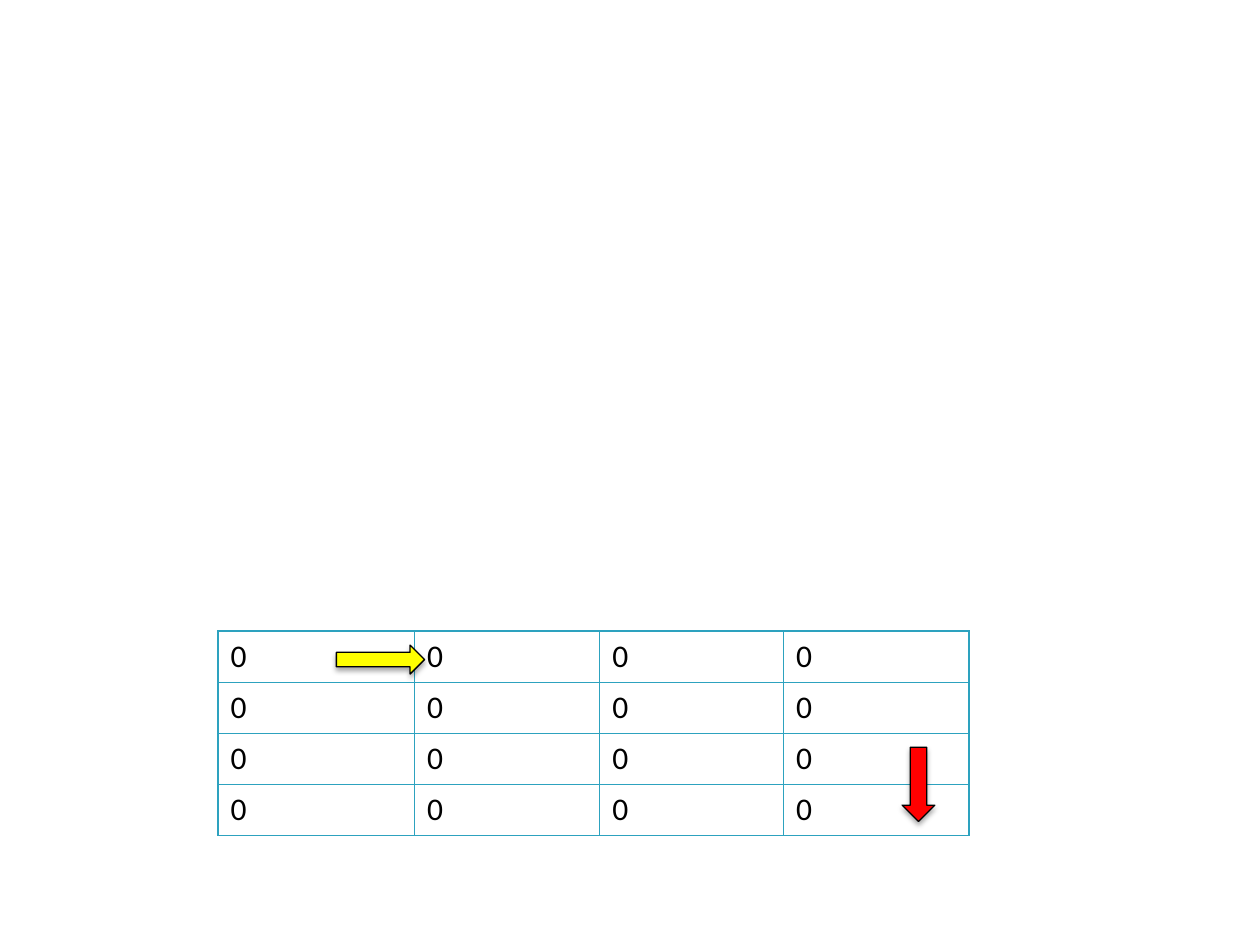
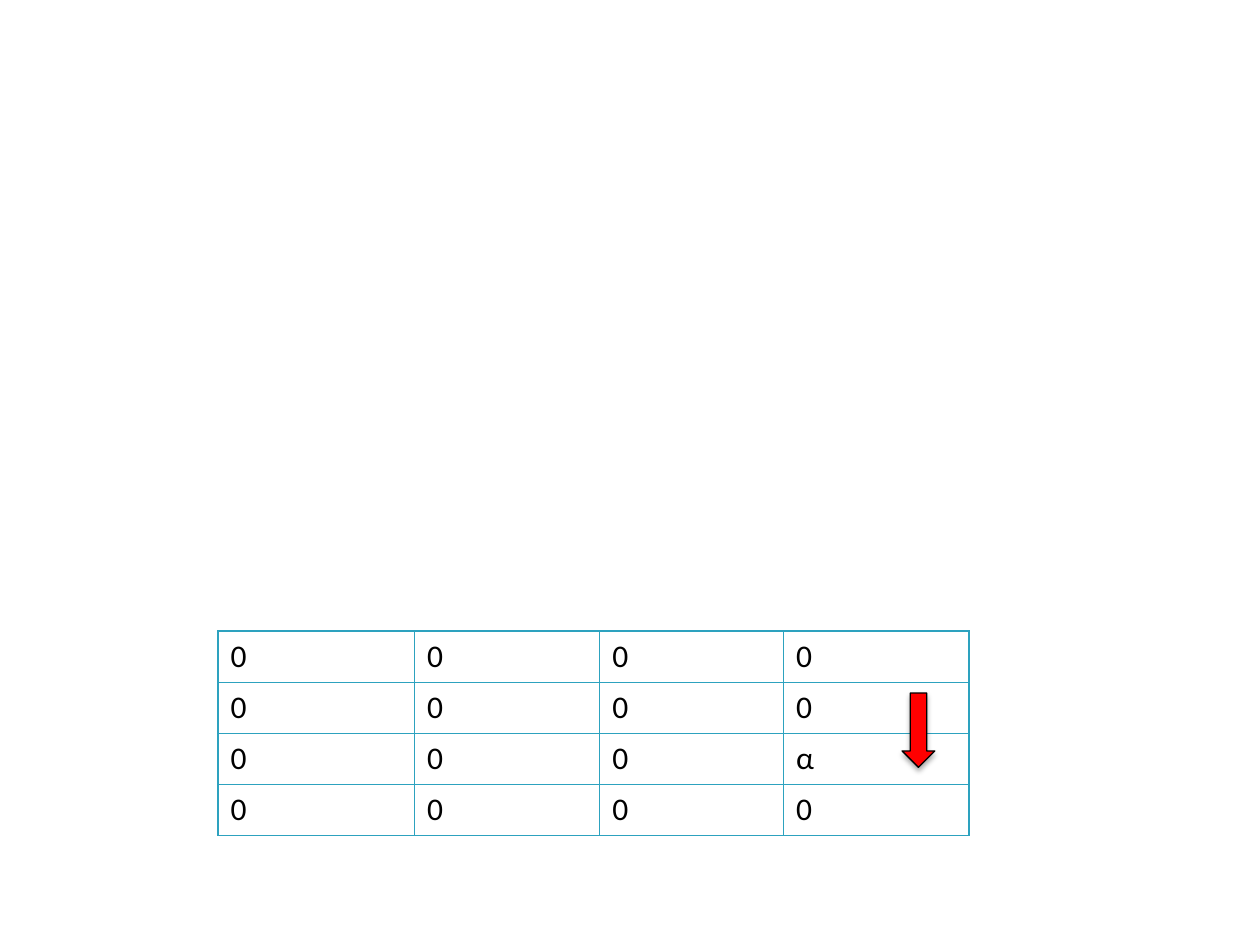
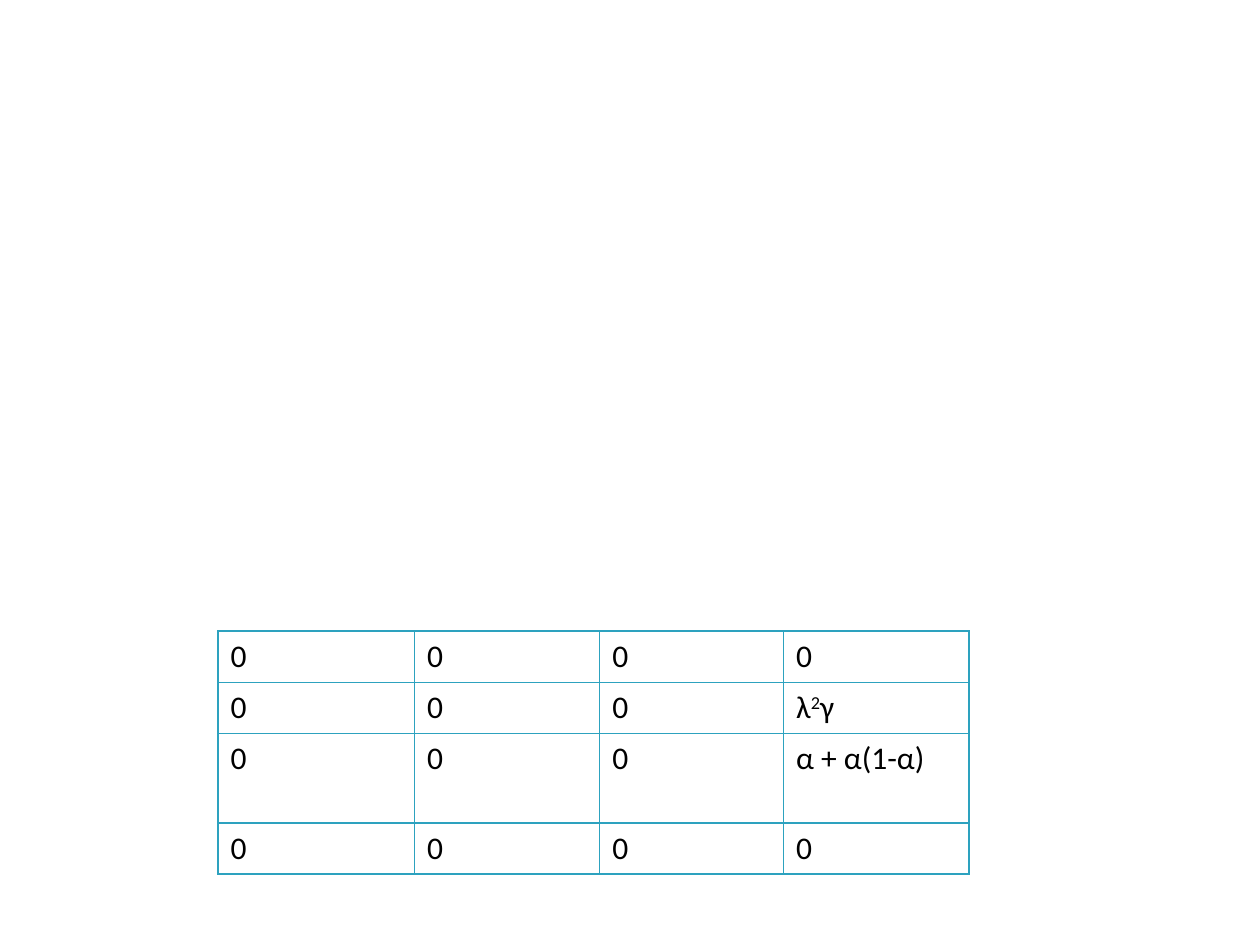
from dataclasses import dataclass

from lxml.etree import SubElement
from pptx import Presentation
from pptx.dml.color import RGBColor
from pptx.enum.shapes import MSO_SHAPE
from pptx.oxml import parse_xml
from pptx.oxml.ns import nsdecls, qn
from pptx.util import Inches, Pt


@dataclass(frozen=True)
class Theme:
    """Colours, font and sizes that all slides share."""
    ink: str = "000000"
    grid: str = "2DA2BF"
    right: str = "FFFF00"
    down: str = "FF0000"
    font: str = "Calibri"
    size: float = 18
    rule: float = 1
    edge: float = 0.75


THEME = Theme()
COLS = (1.56, 1.47, 1.46, 1.47)
ROW = 0.405
TALL = 0.71
COUNT = 4


def rgb(code):
    """Turn a hex code into a colour."""
    return RGBColor.from_string(code)


def add_run(para, text, raised=False):
    """Add one run in the theme font, raised if asked."""
    run = para.add_run()
    run.text = text
    run.font.name = THEME.font
    run.font.size = Pt(THEME.size)
    run.font.color.rgb = rgb(THEME.ink)
    if raised:
        run._r.get_or_add_rPr().set("baseline", "30000")


def add_rules(cell):
    """Draw the four borders of a cell."""
    props = cell._tc.get_or_add_tcPr()
    for spot, side in enumerate(("lnL", "lnR", "lnT", "lnB")):
        props.insert(spot, parse_xml(
            f'<a:{side} {nsdecls("a")} w="{Pt(THEME.rule)}"><a:solidFill>'
            f'<a:srgbClr val="{THEME.grid}"/></a:solidFill></a:{side}>'))


def add_grid(slide, terms=None, tall=None):
    """Add the matrix of zeros, with other terms where given."""
    terms = terms or {}
    frame = slide.shapes.add_table(
        COUNT, len(COLS), Inches(1.73), Inches(5.01),
        Inches(sum(COLS)), Inches(ROW * COUNT))
    table = frame.table
    table.first_row = table.horz_banding = False
    for col, width in zip(table.columns, COLS):
        col.width = Inches(width)
    for i, row in enumerate(table.rows):
        row.height = Inches(TALL if i == tall else ROW)
        for j, cell in enumerate(row.cells):
            cell.fill.background()
            add_rules(cell)
            for part in terms.get((i, j), [("0",)]):
                add_run(cell.text_frame.paragraphs[0], *part)


def add_shade(shape):
    """Give a shape a soft shadow below it."""
    shape.shadow.inherit = False
    effects = shape._element.spPr.find(qn("a:effectLst"))
    shade = SubElement(effects, qn("a:outerShdw"), blurRad=str(Pt(3.1)),
                       dist=str(Pt(1.8)), dir="5400000", rotWithShape="0")
    tint = SubElement(shade, qn("a:srgbClr"), val=THEME.ink)
    SubElement(tint, qn("a:alpha"), val="35000")


def add_arrow(slide, kind, box, fill):
    """Add a block arrow with a thin edge and a shadow."""
    shape = slide.shapes.add_shape(kind, *map(Inches, box))
    shape.fill.solid()
    shape.fill.fore_color.rgb = rgb(fill)
    shape.line.color.rgb = rgb(THEME.ink)
    shape.line.width = Pt(THEME.edge)
    add_shade(shape)


def add_down(slide, top):
    """Add the down arrow in the last column."""
    add_arrow(slide, MSO_SHAPE.DOWN_ARROW, (7.16, top, 0.26, 0.59), THEME.down)


def main():
    """Build the three slides and save them."""
    deck = Presentation()
    deck.slide_width, deck.slide_height = Inches(10), Inches(7.5)
    start, step, end = (
        deck.slides.add_slide(deck.slide_layouts[6]) for _ in range(3))

    add_grid(start)
    add_arrow(start, MSO_SHAPE.RIGHT_ARROW, (2.67, 5.12, 0.7, 0.23),
              THEME.right)
    add_down(start, 5.93)

    add_grid(step, {(2, 3): [("α",)]})
    add_down(step, 5.5)

    add_grid(end, {(1, 3): [("λ",), ("2", True), ("γ",)],
                   (2, 3): [("α + α(1-α)",)]}, tall=2)
    deck.save("out.pptx")


main()
